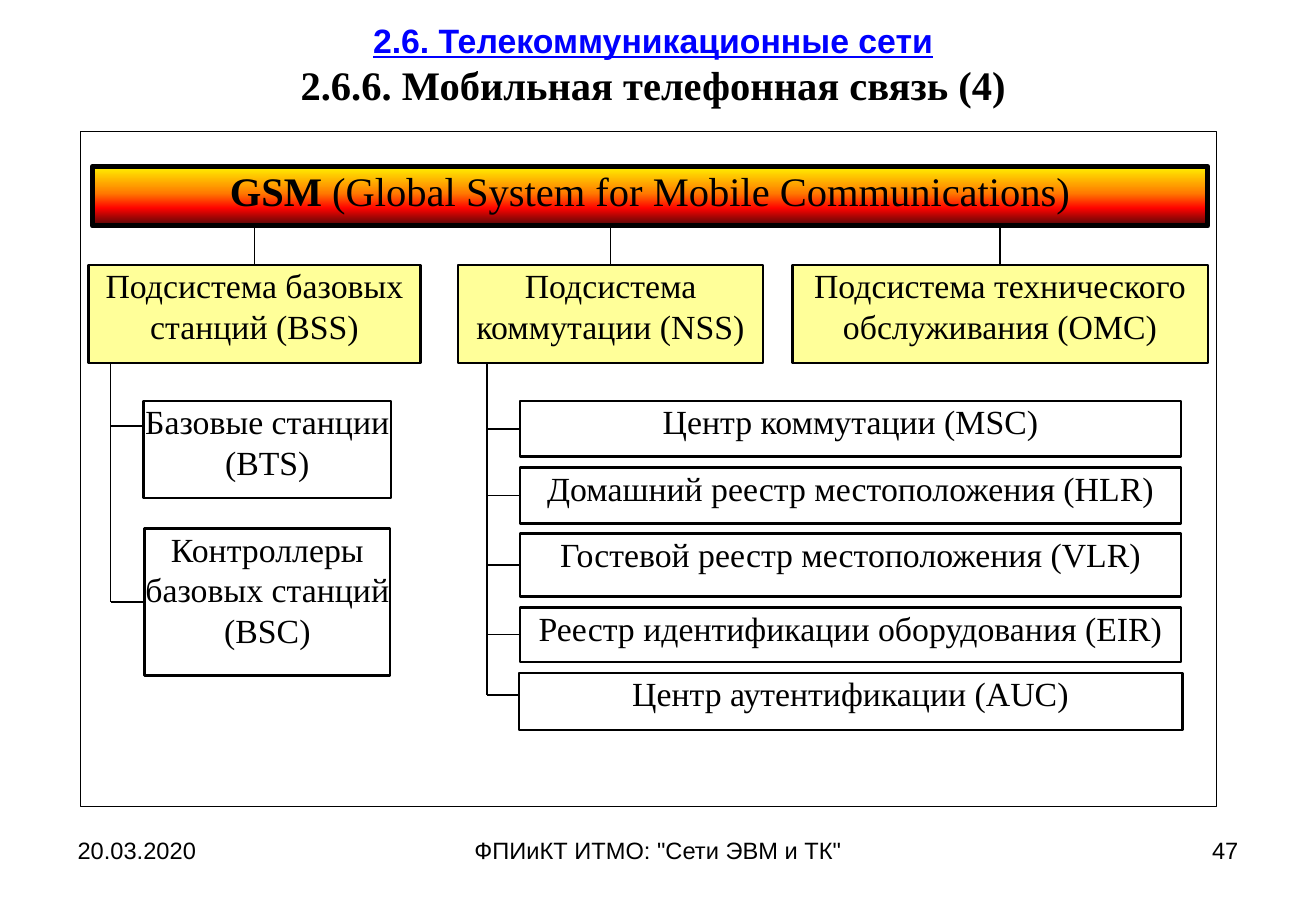
"""Builds the slide on the GSM network subsystems."""
from dataclasses import dataclass

from lxml.etree import SubElement
from pptx import Presentation
from pptx.dml.color import RGBColor
from pptx.enum.shapes import MSO_CONNECTOR, MSO_SHAPE
from pptx.enum.text import MSO_ANCHOR, MSO_AUTO_SIZE, PP_ALIGN
from pptx.oxml.ns import qn
from pptx.util import Inches, Pt


@dataclass(frozen=True)
class Theme:
    """Colours, fonts and type sizes of the slide."""
    ink: str = "000000"
    link: str = "0000FF"
    subsystem: str = "FFFF99"
    unit: str = "FFFFFF"
    flame: tuple = ((0, "FFF200"), (45, "FF7A00"), (70, "FF0300"), (100, "4D0808"))
    sans: str = "Arial"
    serif: str = "Times New Roman"
    heading: int = 24
    body: int = 20
    footer: int = 14


THEME = Theme()
CELL = Inches(0.1)
COLUMNS, ROWS = 108.3, 75
LEFT_SIDE, TOP_SIDE = 1, 0
BANNER = (7.6, 13.7, 91.8, 4.9)
FRAME = (6.6, 10.8, 93.5, 55.6)
SUBSYSTEM_ROW, SUBSYSTEM_HEIGHT = 21.8, 8.1
SUBSYSTEMS = (
    ("Подсистема базовых станций (BSS)", 7.3, 27.3),
    ("Подсистема коммутации (NSS)", 37.7, 25.1),
    ("Подсистема технического обслуживания (OMC)", 65.2, 34.2),
)
BRANCHES = (
    (9.1, (
        ("Базовые станции (BTS)", (11.8, 33, 20.4, 8), 35.1),
        ("Контроллеры базовых станций (BSC)", (11.9, 43.5, 20.2, 12.1), None),
    )),
    (40.1, (
        ("Центр коммутации (MSC)", (42.8, 33, 54.4, 4.6), None),
        ("Домашний реестр местоположения (HLR)", (42.8, 38.5, 54.4, 4.6), None),
        ("Гостевой реестр местоположения (VLR)", (42.8, 43.9, 54.4, 5.2), None),
        ("Реестр идентификации оборудования (EIR)", (42.8, 50, 54.4, 4.5), None),
        ("Центр аутентификации (AUC)", (42.7, 55.4, 54.6, 4.7), 57.2),
    )),
)
FOOTERS = (
    ("20.03.2020", 5.4, 25.3, PP_ALIGN.LEFT),
    ('ФПИиКТ ИТМО: "Сети ЭВМ и ТК"', 37, 34.3, PP_ALIGN.CENTER),
    ("47", 77.6, 25.3, PP_ALIGN.RIGHT),
)


def grid(*cells):
    """Turn grid columns and rows into slide lengths."""
    return [round(cell * CELL) for cell in cells]


def apply(target, **values):
    """Set the given format values on an object."""
    for key, value in values.items():
        setattr(target, key, value)


def write(paragraph, text, size, face=THEME.serif, color=THEME.ink, **style):
    """Add a formatted run to a paragraph."""
    run = paragraph.add_run()
    run.text = text
    apply(run.font, size=Pt(size), name=face, **style)
    run.font.color.rgb = RGBColor.from_string(color)


def box(slide, area, fill=None, weight=1.5):
    """Draw an outlined rectangle and return it."""
    rectangle = slide.shapes.add_shape(MSO_SHAPE.RECTANGLE, *grid(*area))
    rectangle.shadow.inherit = False
    if fill:
        rectangle.fill.solid()
        rectangle.fill.fore_color.rgb = RGBColor.from_string(fill)
    else:
        rectangle.fill.background()
    rectangle.line.width = Pt(weight)
    rectangle.line.color.rgb = RGBColor.from_string(THEME.ink)
    apply(rectangle.text_frame, word_wrap=True, vertical_anchor=MSO_ANCHOR.TOP,
          margin_left=0, margin_top=0, margin_right=0, margin_bottom=0)
    rectangle.text_frame.paragraphs[0].alignment = PP_ALIGN.CENTER
    return rectangle


def labelled_box(slide, text, area, fill):
    """Draw a rectangle that holds one label."""
    rectangle = box(slide, area, fill)
    write(rectangle.text_frame.paragraphs[0], text, THEME.body)
    return rectangle


def line(slide, start, end):
    """Draw a thin straight connector between two grid points."""
    connector = slide.shapes.add_connector(MSO_CONNECTOR.STRAIGHT, *grid(*start, *end))
    connector.line.width = Pt(1)
    connector.line.color.rgb = RGBColor.from_string(THEME.ink)
    SubElement(connector._element.spPr, qn("a:effectLst"))
    return connector


def add_title(slide):
    """Fill the title placeholder with the section and topic."""
    title = slide.shapes.title
    left, top, width, height = grid(1.4, 0.6, COLUMNS - 3.6, 9.4)
    apply(title, left=left, top=top, width=width, height=height)
    apply(title.text_frame, vertical_anchor=MSO_ANCHOR.MIDDLE,
          word_wrap=True, auto_size=MSO_AUTO_SIZE.NONE)
    heading = title.text_frame.paragraphs[0]
    heading.alignment = PP_ALIGN.CENTER
    write(heading, "2.6. Телекоммуникационные сети", THEME.body, THEME.sans,
          THEME.link, bold=True, underline=True)
    heading.add_line_break()
    write(heading, "2.6.6. Мобильная телефонная связь (4)", THEME.heading, bold=True)


def add_banner(slide):
    """Draw the gradient banner that names the system."""
    banner = box(slide, BANNER, weight=3)
    banner.fill.gradient()
    banner.fill.gradient_angle = 270
    stops = banner._element.spPr.find(qn("a:gradFill")).find(qn("a:gsLst"))
    stops.clear()
    for share, color in THEME.flame:
        stop = SubElement(stops, qn("a:gs"), pos=str(share * 1000))
        SubElement(stop, qn("a:srgbClr"), val=color)
    name = banner.text_frame.paragraphs[0]
    write(name, "GSM", THEME.heading, bold=True)
    write(name, " (Global System for Mobile Communications)", THEME.heading)


def add_subsystem(slide, text, column, width):
    """Draw a subsystem and join it to the banner."""
    area = (column, SUBSYSTEM_ROW, width, SUBSYSTEM_HEIGHT)
    subsystem = labelled_box(slide, text, area, THEME.subsystem)
    middle = column + width / 2
    drop = line(slide, (middle, SUBSYSTEM_ROW), (middle, BANNER[1] + BANNER[3]))
    drop.begin_connect(subsystem, TOP_SIDE)


def add_branch(slide, trunk, units):
    """Draw the units of a subsystem hanging from a trunk line."""
    for text, area, joint in units:
        unit = labelled_box(slide, text, area, THEME.unit)
        row = joint or area[1] + area[3] / 2
        stub = line(slide, (trunk, row), (area[0], row))
        if joint is None:
            stub.end_connect(unit, LEFT_SIDE)
    line(slide, (trunk, SUBSYSTEM_ROW + SUBSYSTEM_HEIGHT), (trunk, row))


def add_footer(slide, text, column, width, alignment):
    """Write one footer entry."""
    footer = slide.shapes.add_textbox(*grid(column, 68.3, width, 5.2))
    footer.text_frame.word_wrap = True
    entry = footer.text_frame.paragraphs[0]
    entry.alignment = alignment
    write(entry, text, THEME.footer, THEME.sans)


def main():
    """Build and save the slide."""
    deck = Presentation()
    deck.slide_width, deck.slide_height = grid(COLUMNS, ROWS)
    slide = deck.slides.add_slide(deck.slide_layouts[5])
    add_title(slide)
    add_banner(slide)
    for subsystem in SUBSYSTEMS:
        add_subsystem(slide, *subsystem)
    for branch in BRANCHES:
        add_branch(slide, *branch)
    box(slide, FRAME, weight=0.75)
    for footer in FOOTERS:
        add_footer(slide, *footer)
    deck.save("out.pptx")


if __name__ == "__main__":
    main()
